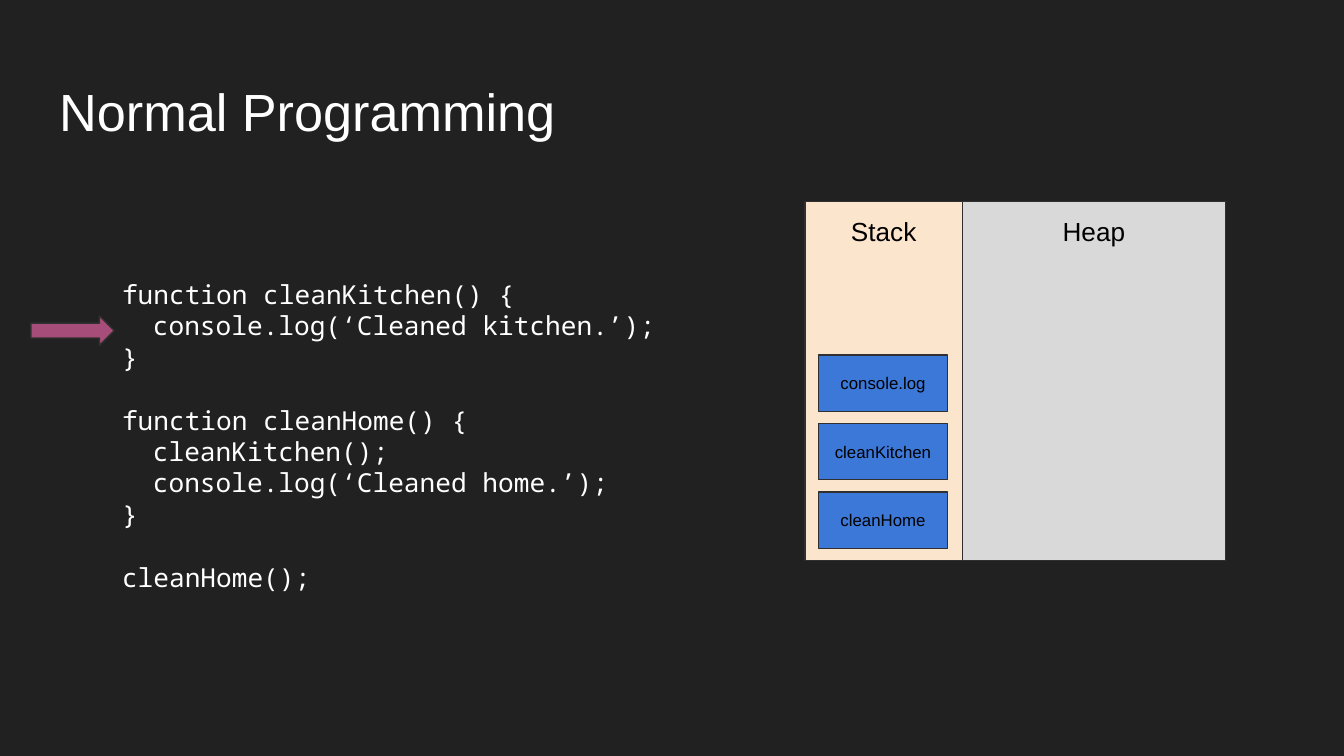
from dataclasses import dataclass

import pptx
import pptx.dml.color
import pptx.enum.shapes
import pptx.enum.text
import pptx.util
from pptx.util import Inches

SHAPE = pptx.enum.shapes.MSO_SHAPE
ANCHOR = pptx.enum.text.MSO_ANCHOR
ALIGN = pptx.enum.text.PP_ALIGN


@dataclass(frozen=True)
class Theme:
    background: str = "212121"
    light: str = "FFFFFF"
    dark: str = "000000"
    outline: str = "303030"
    heap: str = "D9D9D9"
    stack: str = "FCE5CD"
    frame: str = "3C78D8"
    arrow: str = "A64D79"
    sans: str = "Arial"
    mono: str = "Noto Sans Mono"
    title_size: int = 28
    body_size: int = 14
    frame_size: int = 9
    code_line: float = 16.8
    code_indent: float = 0.23


@dataclass(frozen=True)
class Box:
    left: float
    top: float
    width: float
    height: float
    fill: str
    text: str = ""
    size: int = 14
    anchor: ANCHOR = ANCHOR.TOP
    kind: SHAPE = SHAPE.RECTANGLE


@dataclass(frozen=True)
class CodeLine:
    text: str
    level: int = 0
    starts_block: bool = False


THEME = Theme()

SLIDE_WIDTH = 10
SLIDE_HEIGHT = SLIDE_WIDTH * 9 / 16

CODE = [
    CodeLine("function cleanKitchen() {"),
    CodeLine("console.log(‘Cleaned kitchen.’);", level=1),
    CodeLine("}"),
    CodeLine("function cleanHome() {", starts_block=True),
    CodeLine("cleanKitchen();", level=1),
    CodeLine("console.log(‘Cleaned home.’);", level=1),
    CodeLine("}"),
    CodeLine("cleanHome();", starts_block=True),
]

MEMORY = [
    Box(7.16, 1.5, 1.96, 2.67, THEME.heap, "Heap", THEME.body_size),
    Box(5.99, 1.5, 1.17, 2.67, THEME.stack, "Stack", THEME.body_size),
]

CALLS = ["cleanHome", "cleanKitchen", "console.log"]
FRAME_BOTTOM_TOP = 3.66
FRAME_PITCH = 0.51


def rgb(color: str) -> pptx.dml.color.RGBColor:
    return pptx.dml.color.RGBColor.from_string(color)


def setup_frame(tf: pptx.text.text.TextFrame, anchor: ANCHOR) -> None:
    tf.word_wrap = True
    tf.auto_size = pptx.enum.text.MSO_AUTO_SIZE.NONE
    tf.vertical_anchor = anchor
    tf.margin_left = tf.margin_right = Inches(0.1)
    tf.margin_top = tf.margin_bottom = Inches(0.1)


def style(p: pptx.text.text._Paragraph, font: str, size: int, color: str, align: ALIGN) -> None:
    p.alignment = align
    for r in p.runs:
        r.font.name = font
        r.font.size = pptx.util.Pt(size)
        r.font.color.rgb = rgb(color)


def set_title(s: pptx.slide.Slide, text: str) -> None:
    sp = s.shapes.title
    sp.left, sp.top = Inches(0.34), Inches(0.49)
    sp.width, sp.height = Inches(9.32), Inches(0.63)
    tf = sp.text_frame
    tf.text = text
    setup_frame(tf, ANCHOR.TOP)
    style(tf.paragraphs[0], THEME.sans, THEME.title_size, THEME.light, ALIGN.LEFT)


def add_code(s: pptx.slide.Slide, lines: list[CodeLine]) -> None:
    sp = s.shapes.add_textbox(Inches(0.81), Inches(1.96), Inches(5.37), Inches(2.56))
    tf = sp.text_frame
    setup_frame(tf, ANCHOR.MIDDLE)
    tf.text = "\n".join(line.text for line in lines)
    for p, line in zip(tf.paragraphs, lines):
        style(p, THEME.mono, THEME.body_size, THEME.light, ALIGN.LEFT)
        if line.starts_block:
            p.space_before = pptx.util.Pt(THEME.code_line)
        if line.level:
            indent = Inches(THEME.code_indent * line.level)
            p._p.get_or_add_pPr().set("marL", str(indent))


def add_box(s: pptx.slide.Slide, box: Box) -> None:
    sp = s.shapes.add_shape(
        box.kind, Inches(box.left), Inches(box.top), Inches(box.width), Inches(box.height)
    )
    sp.shadow.inherit = False
    sp.fill.solid()
    sp.fill.fore_color.rgb = rgb(box.fill)
    sp.line.color.rgb = rgb(THEME.outline)
    sp.line.width = pptx.util.Pt(0.75)
    if box.text:
        tf = sp.text_frame
        tf.text = box.text
        setup_frame(tf, box.anchor)
        style(tf.paragraphs[0], THEME.sans, box.size, THEME.dark, ALIGN.CENTER)


def main() -> None:
    prs = pptx.Presentation()
    prs.slide_width, prs.slide_height = Inches(SLIDE_WIDTH), Inches(SLIDE_HEIGHT)
    s = prs.slides.add_slide(prs.slide_layouts.get_by_name("Title Only"))
    s.background.fill.solid()
    s.background.fill.fore_color.rgb = rgb(THEME.background)

    set_title(s, "Normal Programming")
    add_code(s, CODE)
    for box in MEMORY:
        add_box(s, box)
    for i, call in enumerate(CALLS):
        top = FRAME_BOTTOM_TOP - i * FRAME_PITCH
        add_box(s, Box(6.09, top, 0.96, 0.42, THEME.frame, call, THEME.frame_size, ANCHOR.MIDDLE))
    add_box(s, Box(0.23, 2.35, 0.62, 0.22, THEME.arrow, kind=SHAPE.RIGHT_ARROW))

    prs.save("out.pptx")


if __name__ == "__main__":
    main()
